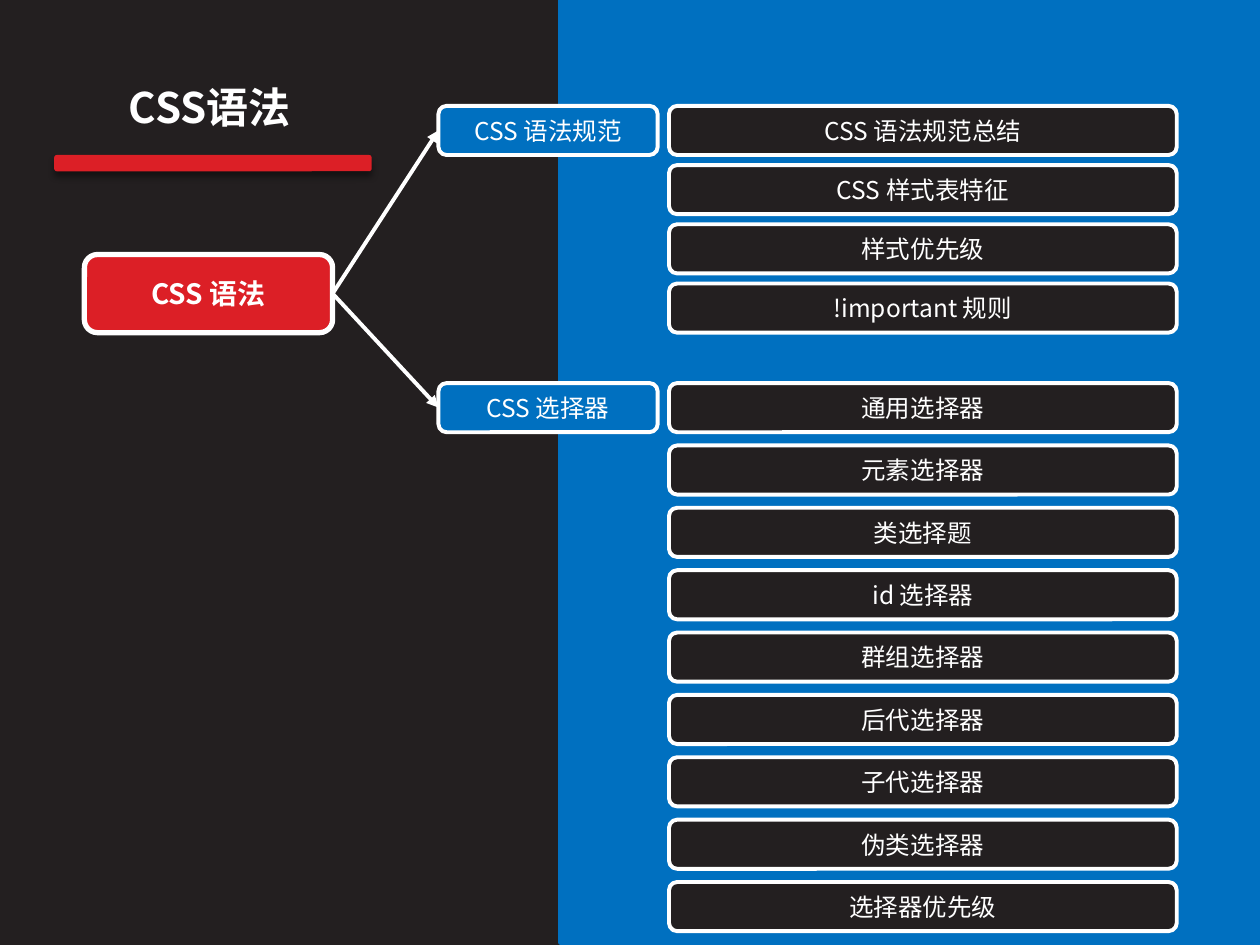
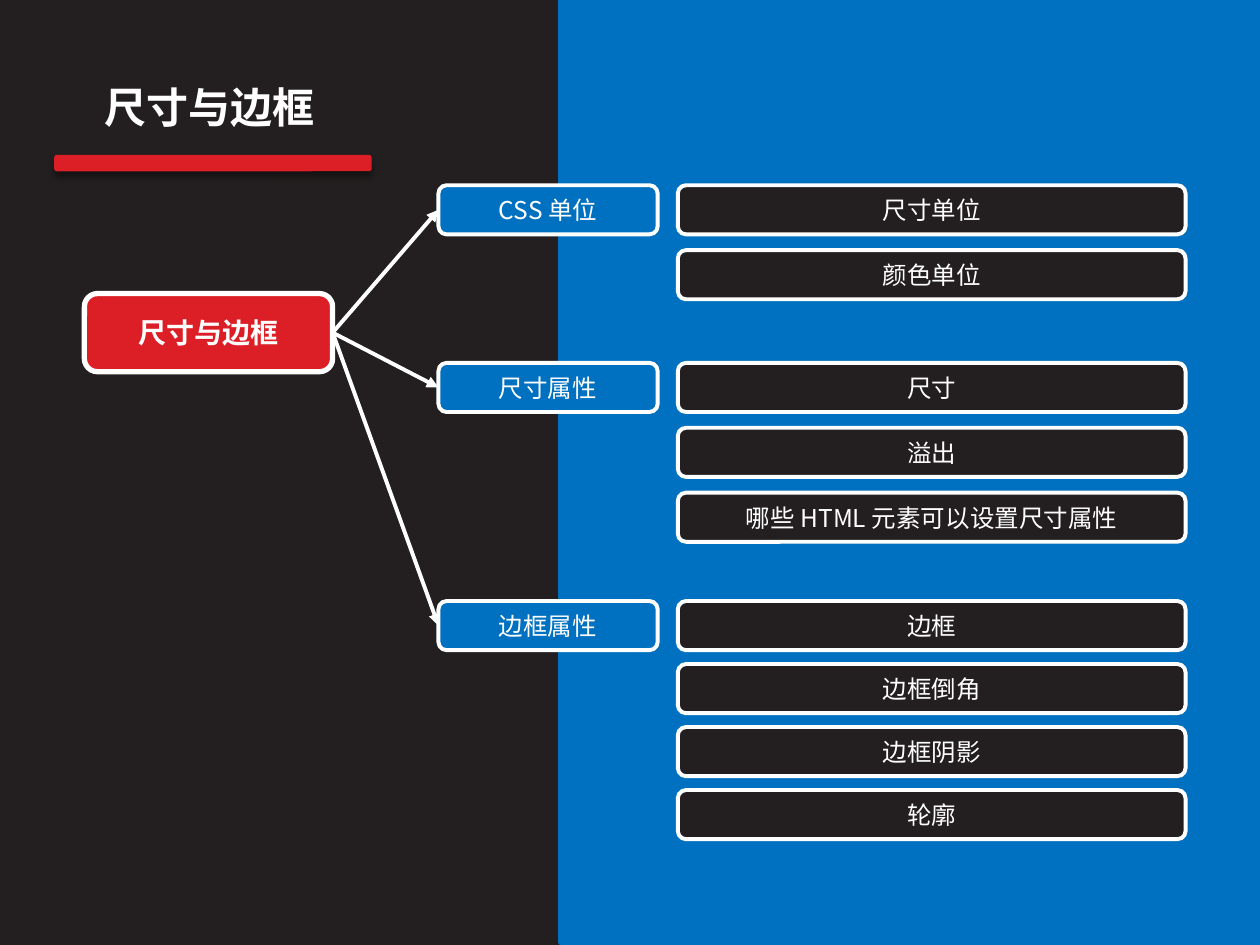
import dataclasses

import lxml.etree
import pptx
import pptx.dml.color
import pptx.enum.shapes
import pptx.enum.text
import pptx.oxml
import pptx.oxml.ns
import pptx.util

SHAPES = pptx.enum.shapes.MSO_SHAPE
WIDTH, HEIGHT = pptx.util.Inches(10), pptx.util.Inches(7.5)
COLUMN, ROW = WIDTH / 100, HEIGHT / 75

FONT = "Noto Sans CJK SC"
DARK, BLUE, RED, WHITE = "231F20", "0070C0", "DC1F26", "FFFFFF"


@dataclasses.dataclass
class Box:
    """A place on the slide, in columns and rows."""
    left: float
    top: float
    width: float
    height: float

    def inner(self, left, top, width, height):
        return Box(self.left + left, self.top + top, width, height)

    def lengths(self):
        return (round(self.left * COLUMN), round(self.top * ROW),
                round(self.width * COLUMN), round(self.height * ROW))


PAGE = Box(0, 0, 100, 75)
PANEL = PAGE.inner(44.5, 0, 55.5, 74.8)
HEADING = PAGE.inner(2.8, 6, 27.7, 7.6)
ROOT_LEFT, ROOT_WIDTH, ROOT_HEIGHT = 6.7, 19.7, 6.2
BRANCH_LEFT, BRANCH_WIDTH = 34.8, 17.4
TOPIC_WIDTH, BAR_HEIGHT = 40.3, 3.9


@dataclasses.dataclass
class Branch:
    name: str
    top: float
    pitch: float
    topics: list


def rgb(value):
    return pptx.dml.color.RGBColor.from_string(value)


def add_effects(shape, content=""):
    """An empty list of effects also switches off the theme's shadow."""
    properties = shape._element.spPr
    for old in properties.findall(pptx.oxml.ns.qn("a:effectLst")):
        properties.remove(old)
    properties.append(pptx.oxml.parse_xml(
        f'<a:effectLst {pptx.oxml.ns.nsdecls("a")}>{content}</a:effectLst>'))


def write(shape, text, size, bold=False):
    frame = shape.text_frame
    frame.word_wrap = True
    para = frame.paragraphs[0]
    para.alignment = pptx.enum.text.PP_ALIGN.CENTER
    span = para.add_run()
    span.text = text
    font = span.font
    font.name, font.size, font.bold = FONT, pptx.util.Pt(size), bold
    font.color.rgb = rgb(WHITE)
    east_asian = lxml.etree.SubElement(font._element, pptx.oxml.ns.qn("a:ea"))
    east_asian.set("typeface", FONT)


def add_block(shapes, kind, box, fill, line=None, weight=0):
    shape = shapes.add_shape(kind, *box.lengths())
    shape.shadow.inherit = False
    shape.fill.solid()
    shape.fill.fore_color.rgb = rgb(fill)
    if line:
        shape.line.color.rgb = rgb(line)
        shape.line.width = pptx.util.Pt(weight)
    else:
        shape.line.fill.background()
    return shape


def add_node(page, box, text, fill, size=14, weight=2.25, bold=False):
    node = add_block(page.shapes, SHAPES.ROUNDED_RECTANGLE, box, fill, WHITE, weight)
    node.text_frame.vertical_anchor = pptx.enum.text.MSO_ANCHOR.MIDDLE
    write(node, text, size, bold)
    return node


def add_arrow(page, start, end):
    """Runs from the right side of one node to the left side of another."""
    arrow = page.shapes.add_connector(
        pptx.enum.shapes.MSO_CONNECTOR.STRAIGHT, 0, 0, 0, 0)
    arrow.begin_connect(start, 3)
    arrow.end_connect(end, 1)
    arrow.line.color.rgb = rgb(WHITE)
    arrow.line.width = pptx.util.Pt(2.25)
    head = lxml.etree.SubElement(arrow.line._get_or_add_ln(),
                                 pptx.oxml.ns.qn("a:tailEnd"))
    head.set("type", "triangle")
    add_effects(arrow)


def add_heading(page, box, text):
    group = page.shapes.add_group_shape()
    title = group.shapes.add_textbox(
        *box.inner(0, 0, box.width, 7.1).lengths())
    write(title, text, 24, True)
    underline = add_block(group.shapes, SHAPES.ROUNDED_RECTANGLE,
                          box.inner(1.5, 6.3, 25.2, 1.3), RED)
    blur, distance = pptx.util.Pt(4), pptx.util.Pt(3)
    add_effects(underline, (
        f'<a:outerShdw blurRad="{blur}" dist="{distance}" dir="5400000" '
        'algn="t" rotWithShape="0"><a:srgbClr val="000000">'
        '<a:alpha val="43000"/></a:srgbClr></a:outerShdw>'))


def add_branch(page, box, root, branch, topic_left):
    node = add_node(page, box, branch.name, BLUE)
    add_arrow(page, root, node)
    for index, topic in enumerate(branch.topics):
        place = box.inner(topic_left, index * branch.pitch,
                          TOPIC_WIDTH, BAR_HEIGHT)
        add_node(page, place, topic, DARK)


def add_mind_map(deck, title, root_text, root_top, topic_left, branches):
    page = deck.slides.add_slide(deck.slide_layouts[6])
    add_block(page.shapes, SHAPES.RECTANGLE, PANEL, BLUE, BLUE, 3)
    add_heading(page, HEADING, title)
    root_box = PAGE.inner(ROOT_LEFT, root_top, ROOT_WIDTH, ROOT_HEIGHT)
    root = add_node(page, root_box, root_text, RED, 16, 3, True)
    for branch in branches:
        box = PAGE.inner(BRANCH_LEFT, branch.top, BRANCH_WIDTH, BAR_HEIGHT)
        add_branch(page, box, root, branch, topic_left)


def main():
    deck = pptx.Presentation()
    deck.slide_width, deck.slide_height = WIDTH, HEIGHT
    backdrop = deck.slide_master.background.fill
    backdrop.solid()
    backdrop.fore_color.rgb = rgb(DARK)

    add_mind_map(deck, "CSS语法", "CSS 语法", 20.2, 18.3, [
        Branch("CSS 语法规范", 8.4, 4.7, [
            "CSS 语法规范总结", "CSS 样式表特征", "样式优先级",
            "!important 规则"]),
        Branch("CSS 选择器", 30.4, 4.95, [
            "通用选择器", "元素选择器", "类选择题", "id 选择器", "群组选择器",
            "后代选择器", "子代选择器", "伪类选择器", "选择器优先级"]),
    ])
    add_mind_map(deck, "尺寸与边框", "尺寸与边框", 23.3, 19, [
        Branch("CSS 单位", 14.7, 5.15, ["尺寸单位", "颜色单位"]),
        Branch("尺寸属性", 28.8, 5.15, [
            "尺寸", "溢出", "哪些 HTML 元素可以设置尺寸属性"]),
        Branch("边框属性", 47.7, 5, ["边框", "边框倒角", "边框阴影", "轮廓"]),
    ])
    deck.save("out.pptx")


if __name__ == "__main__":
    main()
